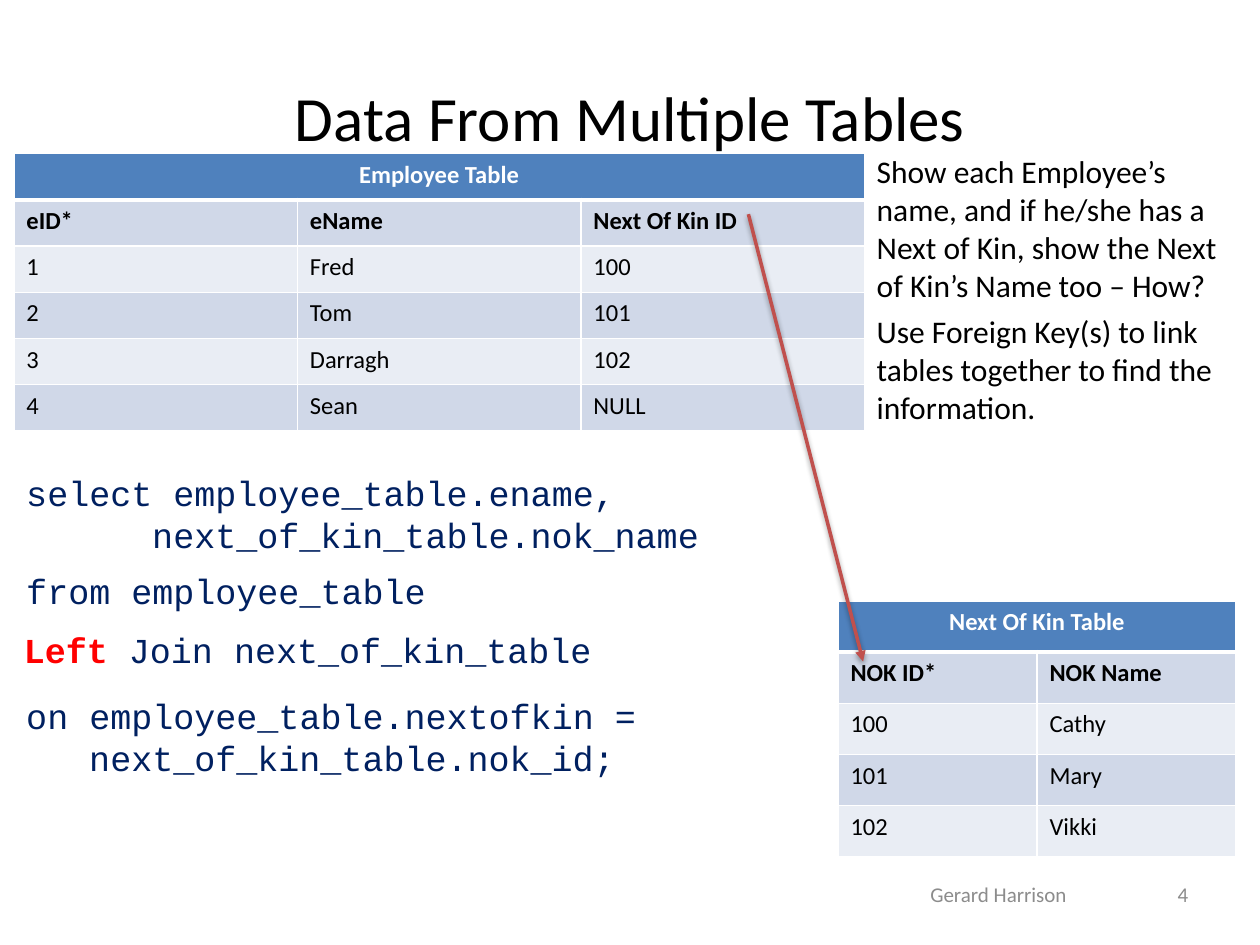
from dataclasses import dataclass

from lxml import etree
from pptx import Presentation
from pptx.dml.color import RGBColor
from pptx.enum.shapes import MSO_CONNECTOR
from pptx.enum.text import MSO_ANCHOR, PP_ALIGN
from pptx.oxml.ns import qn
from pptx.util import Emu, Inches, Pt

LEFT, CENTER, RIGHT = PP_ALIGN.LEFT, PP_ALIGN.CENTER, PP_ALIGN.RIGHT
TOP, MIDDLE = MSO_ANCHOR.TOP, MSO_ANCHOR.MIDDLE
STRAIGHT = MSO_CONNECTOR.STRAIGHT
WIDTH, HEIGHT = Inches(10), Inches(7.5)
SANS, MONO = "Calibri", "Courier New"
BLACK, WHITE, GREY, NAVY, RED = "000000", "FFFFFF", "8C8C8C", "002060", "FF0000"
HEADER, BANDS, ARROW = "4F81BD", ("D0D8E8", "E9EDF4"), "C0504D"


@dataclass
class Box:
    """Left and width in % of slide width, top and height in % of its height."""
    x: float
    y: float
    w: float
    h: float

    def emu(self) -> tuple:
        return across(self.x), down(self.y), across(self.w), down(self.h)


@dataclass
class Run:
    text: str
    color: str = BLACK
    bold: bool = False


@dataclass
class Line:
    runs: list
    indent: float = 0  # inches


@dataclass
class Text:
    box: Box
    lines: list
    size: int
    font: str = SANS
    align: int = LEFT
    anchor: int = TOP


@dataclass
class Table:
    box: Box
    title: str
    rows: list


def across(percent: float) -> Emu:
    return Emu(round(WIDTH * percent / 100))


def down(percent: float) -> Emu:
    return Emu(round(HEIGHT * percent / 100))


def rgb(color: str) -> RGBColor:
    return RGBColor.from_string(color)


def add_run(p, run: Run, size: int, font: str) -> None:
    r = p.add_run()
    r.text = run.text
    r.font.size, r.font.name, r.font.bold = Pt(size), font, run.bold
    r.font.color.rgb = rgb(run.color)


def add_text(s, text: Text) -> None:
    tf = s.shapes.add_textbox(*text.box.emu()).text_frame
    tf.word_wrap = True
    tf.vertical_anchor = text.anchor
    for i, line in enumerate(text.lines):
        p = tf.add_paragraph() if i else tf.paragraphs[0]
        p.alignment = text.align
        if line.indent:
            p._p.get_or_add_pPr().set("marL", str(Inches(line.indent)))
        for run in line.runs:
            add_run(p, run, text.size, text.font)


def set_borders(cell, top: int, bottom: int) -> None:
    tc_pr = cell._tc.get_or_add_tcPr()
    for side, width in (("L", 1), ("R", 1), ("T", top), ("B", bottom)):
        ln = etree.SubElement(tc_pr, qn(f"a:ln{side}"), w=str(Pt(width)))
        fill = etree.SubElement(ln, qn("a:solidFill"))
        etree.SubElement(fill, qn("a:srgbClr"), val=WHITE)


def add_table(s, table: Table) -> None:
    columns = len(table.rows[0])
    rows = [[table.title] + [""] * (columns - 1)] + table.rows
    x, y, w, h = table.box.emu()
    tbl = s.shapes.add_table(len(rows), columns, x, y, w, h).table
    for column in tbl.columns:
        column.width = Emu(w // columns)
    for i, row in enumerate(rows):
        tbl.rows[i].height = Emu(h // len(rows))
        for j, value in enumerate(row):
            cell = tbl.cell(i, j)
            # A thick rule parts the title row from the rows below
            set_borders(cell, 3 if i == 1 else 1, 3 if i == 0 else 1)
            cell.fill.solid()
            cell.fill.fore_color.rgb = rgb(BANDS[(i - 1) % 2] if i else HEADER)
            if value:
                p = cell.text_frame.paragraphs[0]
                p.alignment = LEFT if i else CENTER
                add_run(p, Run(value, BLACK if i else WHITE, i < 2), 14, SANS)
    tbl.cell(0, 0).merge(tbl.cell(0, columns - 1))


def add_arrow(s, x1: float, y1: float, x2: float, y2: float) -> None:
    c = s.shapes.add_connector(STRAIGHT, across(x1), down(y1), across(x2), down(y2))
    c.line.color.rgb = rgb(ARROW)
    c.line.width = Pt(2)
    etree.SubElement(c.line._get_or_add_ln(), qn("a:tailEnd"), type="triangle")
    # Soft shadow straight below the line
    effects = etree.SubElement(c._element.spPr, qn("a:effectLst"))
    shadow = etree.SubElement(effects, qn("a:outerShdw"), blurRad=str(Pt(3.1)),
                              dist=str(Pt(1.6)), dir="5400000", rotWithShape="0")
    color = etree.SubElement(shadow, qn("a:srgbClr"), val=BLACK)
    etree.SubElement(color, qn("a:alpha"), val="38000")


def plain(text: str, color: str = BLACK, indent: float = 0) -> Line:
    return Line([Run(text, color)], indent)


def code(x: float, y: float, h: float, *lines: Line) -> Text:
    return Text(Box(x, y, 55.9, h), list(lines), 20, MONO)


TITLE = Text(Box(5, 4, 90, 16.67), [plain("Data From Multiple Tables")],
             36, align=CENTER, anchor=MIDDLE)
EMPLOYEES = Table(Box(1.1, 16.27, 67.5, 29.33), "Employee Table", [
    ["eID*", "eName", "Next Of Kin ID"],
    ["1", "Fred", "100"],
    ["2", "Tom", "101"],
    ["3", "Darragh", "102"],
    ["4", "Sean", "NULL"],
])
NEXT_OF_KIN = Table(Box(66.5, 63.6, 31.6, 27.07), "Next Of Kin Table", [
    ["NOK ID*", "NOK Name"],
    ["100", "Cathy"],
    ["101", "Mary"],
    ["102", "Vikki"],
])
FOOTER = [
    Text(Box(63.4, 92, 31.7, 5.33), [plain("Gerard Harrison", GREY)], 12,
         align=CENTER, anchor=MIDDLE),
    Text(Box(72, 92, 23.3, 5.33), [plain("4", GREY)], 12,
         align=RIGHT, anchor=MIDDLE),
]
NOTES = [
    Text(Box(68.6, 15.47, 30.2, 17.47), [plain(
        "Show each Employee’s name, and if he/she has a Next of Kin, "
        "show the Next of Kin’s Name too – How?")], 18),
    Text(Box(68.6, 32.4, 30.3, 13.47), [plain(
        "Use Foreign Key(s) to link tables together to find the information.")], 18),
]
QUERY = [
    code(1.1, 49.2, 10.27, plain("select employee_table.ename,", NAVY),
         plain("next_of_kin_table.nok_name", NAVY, 1)),
    code(1.1, 59.6, 5.87, plain("from employee_table", NAVY)),
    code(0.9, 65.87, 5.87, Line([Run("Left", RED, True),
                                 Run(" Join next_of_kin_table", NAVY)])),
    code(1.1, 72.8, 10.27, plain("on employee_table.nextofkin =", NAVY),
         plain("next_of_kin_table.nok_id;", NAVY, 0.5)),
]


def main() -> None:
    prs = Presentation()
    prs.slide_width, prs.slide_height = WIDTH, HEIGHT
    s = prs.slides.add_slide(prs.slide_layouts[6])
    add_text(s, TITLE)
    add_table(s, EMPLOYEES)
    for text in FOOTER:
        add_text(s, text)
    add_table(s, NEXT_OF_KIN)
    # Foreign key to primary key
    add_arrow(s, 59.4, 22.67, 68.5, 70)
    for text in NOTES + QUERY:
        add_text(s, text)
    prs.save("out.pptx")


if __name__ == "__main__":
    main()
